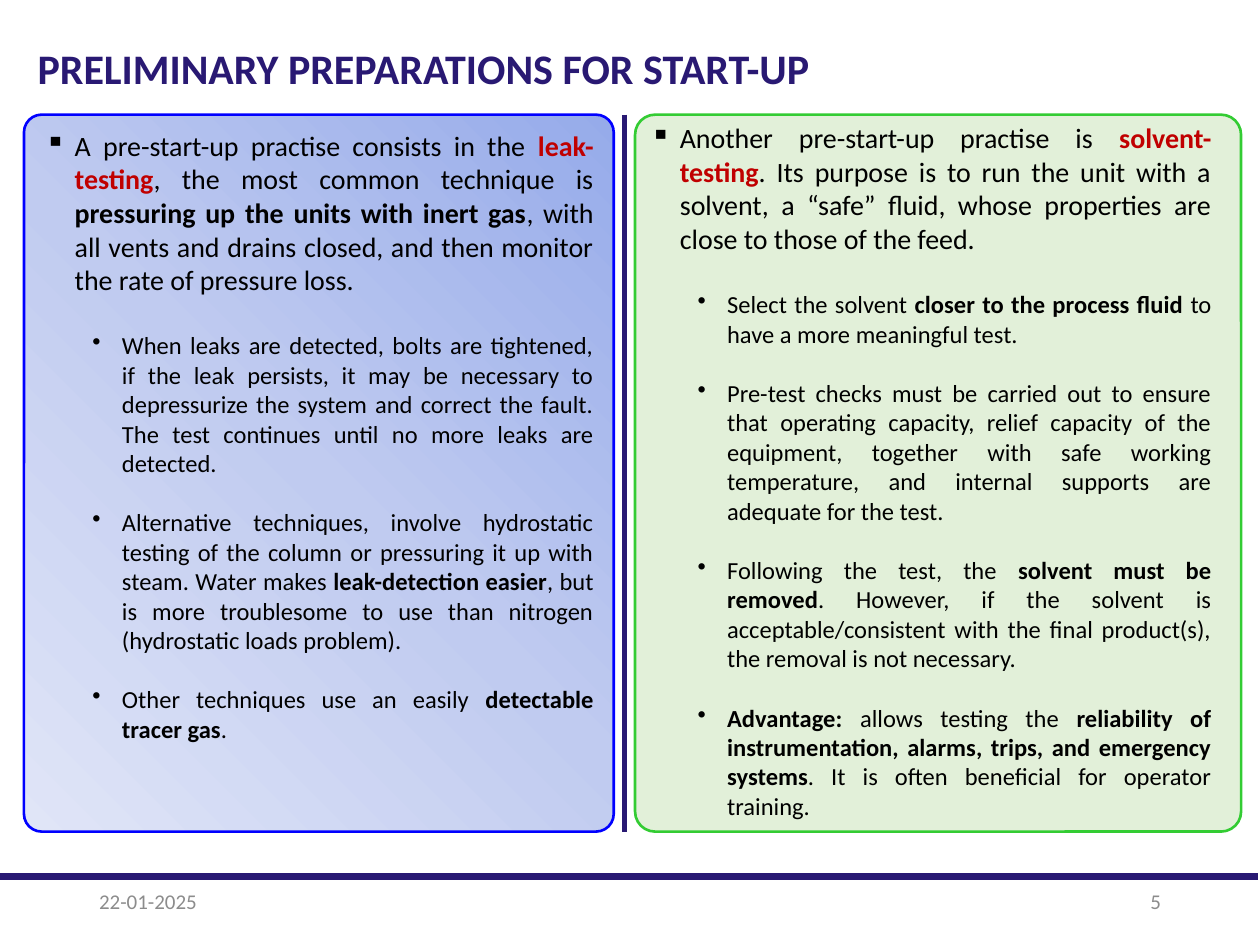
from lxml.etree import SubElement
from pptx import Presentation
from pptx.dml.color import RGBColor
from pptx.enum.shapes import MSO_CONNECTOR, MSO_SHAPE
from pptx.enum.text import MSO_ANCHOR, PP_ALIGN
from pptx.oxml import parse_xml
from pptx.oxml.ns import nsdecls, qn
from pptx.util import Pt

FONT = "Calibri"
COLORS = {
    "navy": "291973", "black": "000000", "red": "C00000", "gray": "8C8C8C",
    "blue": "0000FF", "green": "33CC33", "pale green": "E2F0D9",
}
BLUE_STOPS = [(0, "96ABEA"), (50, "C0CBF0"), (100, "E0E5F7")]
PANEL_TOP, PANEL_HEIGHT = 65.5, 409.7
# Outline level: bullet, left margin, size, space before
LEVELS = [("▪", 16.9, 16, 0), ("•", 43.9, 14, 17.1)]
HANGING = 16.9
FIRST_SUBPOINT_GAP = 19.5

# A span is (text, style); style is "", "bold" or "key" (bold red).
LEAK_TESTING = [
    [("A pre-start-up practise consists in the ", ""), ("leak-testing", "key"),
     (", the most common technique is ", ""),
     ("pressuring up the units with inert gas", "bold"),
     (", with all vents and drains closed, and then monitor the rate of pressure loss.", "")],
    [("When leaks are detected, bolts are tightened, if the leak persists, it may be necessary "
      "to depressurize the system and correct the fault. The test continues until no more "
      "leaks are detected.", "")],
    [("Alternative techniques, involve hydrostatic testing of the column or pressuring it up "
      "with steam. Water makes ", ""), ("leak-detection easier", "bold"),
     (", but is more troublesome to use than nitrogen (hydrostatic loads problem).", "")],
    [("Other techniques use an easily ", ""), ("detectable tracer gas", "bold"), (".", "")],
]
SOLVENT_TESTING = [
    [("Another pre-start-up practise is ", ""), ("solvent-testing", "key"),
     (". Its purpose is to run the unit with a solvent, a “safe” fluid, whose properties are "
      "close to those of the feed.", "")],
    [("Select the solvent ", ""), ("closer to the process fluid ", "bold"),
     ("to have a more meaningful test.", "")],
    [("Pre-test checks must be carried out to ensure that operating capacity, relief capacity "
      "of the equipment, together with safe working temperature, and internal supports are "
      "adequate for the test.", "")],
    [("Following the test, the ", ""), ("solvent must be removed", "bold"),
     (". However, if the solvent is acceptable/consistent with the final product(s), the "
      "removal is not necessary.", "")],
    [("Advantage:", "bold"), (" allows testing the ", ""),
     ("reliability of instrumentation, alarms, trips, and emergency systems", "bold"),
     (". It is often beneficial for operator training.", "")],
]


def rgb(name):
    return RGBColor.from_string(COLORS[name])


def set_font(font, size, color, bold=False):
    font.name = FONT
    font.size = Pt(size)
    font.bold = bold
    font.color.rgb = rgb(color)


def add_panel(slide, left, width, radius, line_color):
    panel = slide.shapes.add_shape(MSO_SHAPE.ROUNDED_RECTANGLE, Pt(left), Pt(PANEL_TOP),
                                   Pt(width), Pt(PANEL_HEIGHT))
    panel.adjustments[0] = radius
    panel.shadow.inherit = False
    panel.line.color.rgb = rgb(line_color)
    panel.line.width = Pt(1.5)
    return panel


def fill_radial(shape, stops):
    """Fill with a circular gradient that starts in the top right corner."""
    stop_xml = "".join(f'<a:gs pos="{position * 1000}"><a:srgbClr val="{color}"/></a:gs>'
                       for position, color in stops)
    gradient = parse_xml(
        f'<a:gradFill {nsdecls("a")} rotWithShape="1"><a:gsLst>{stop_xml}</a:gsLst>'
        '<a:path path="circle"><a:fillToRect l="100000" b="100000"/></a:path></a:gradFill>')
    shape.element.spPr.find(qn("a:prstGeom")).addnext(gradient)


def add_box(slide, left, top, width, height):
    box = slide.shapes.add_textbox(Pt(left), Pt(top), Pt(width), Pt(height))
    box.text_frame.word_wrap = True
    return box.text_frame


def add_label(slide, place, text, size, color, bold=False, align=PP_ALIGN.LEFT,
              anchor=MSO_ANCHOR.TOP):
    frame = add_box(slide, *place)
    frame.vertical_anchor = anchor
    para = frame.paragraphs[0]
    para.text = text
    para.alignment = align
    set_font(para.font, size, color, bold)


def add_outline(slide, place, points):
    """Add one main point followed by its subpoints."""
    frame = add_box(slide, *place)
    for index, spans in enumerate(points):
        para = frame.add_paragraph() if index else frame.paragraphs[0]
        para.level = min(index, 1)
        bullet, margin, size, gap = LEVELS[para.level]
        para.alignment = PP_ALIGN.JUSTIFY
        para.space_before = Pt(FIRST_SUBPOINT_GAP if index == 1 else gap)
        properties = para._p.get_or_add_pPr()
        properties.set("marL", str(Pt(margin)))
        properties.set("indent", str(-Pt(HANGING)))
        SubElement(properties, qn("a:buChar")).set("char", bullet)
        set_font(para.font, size, "black")
        for text, style in spans:
            span = para.add_run()
            span.text = text
            if style:
                span.font.bold = True
            if style == "key":
                span.font.color.rgb = rgb("red")


def add_rule(slide, start, end, width):
    rule = slide.shapes.add_connector(MSO_CONNECTOR.STRAIGHT, *map(Pt, start + end))
    rule.line.color.rgb = rgb("navy")
    rule.line.width = Pt(width)
    SubElement(rule.element.spPr, qn("a:effectLst"))


def main():
    deck = Presentation()
    deck.slide_width, deck.slide_height = Pt(720), Pt(540)
    slide = deck.slides.add_slide(deck.slide_layouts[6])

    fill_radial(add_panel(slide, 13.7, 337, 0.03, "blue"), BLUE_STOPS)
    solvent_panel = add_panel(slide, 362.9, 346.3, 0.033, "green")
    solvent_panel.fill.solid()
    solvent_panel.fill.fore_color.rgb = rgb("pale green")

    add_label(slide, (49.5, 500.5, 162, 28.8), "22-01-2025", 12, "gray",
              anchor=MSO_ANCHOR.MIDDLE)
    add_label(slide, (508.5, 500.5, 162, 28.8), "5", 12, "gray",
              align=PP_ALIGN.RIGHT, anchor=MSO_ANCHOR.MIDDLE)

    add_outline(slide, (18.7, 69.8, 327.6, 361.4), LEAK_TESTING)
    add_outline(slide, (364.5, PANEL_TOP, 334.8, PANEL_HEIGHT), SOLVENT_TESTING)

    add_rule(slide, (357.1, PANEL_TOP), (357.1, PANEL_TOP + PANEL_HEIGHT), 2.75)
    add_rule(slide, (0, 501.1), (718.6, 501.1), 4)
    add_label(slide, (14.4, 20.9, 514.8, 36), "PRELIMINARY PREPARATIONS FOR START-UP", 24,
              "navy", bold=True)
    deck.save("out.pptx")


if __name__ == "__main__":
    main()
